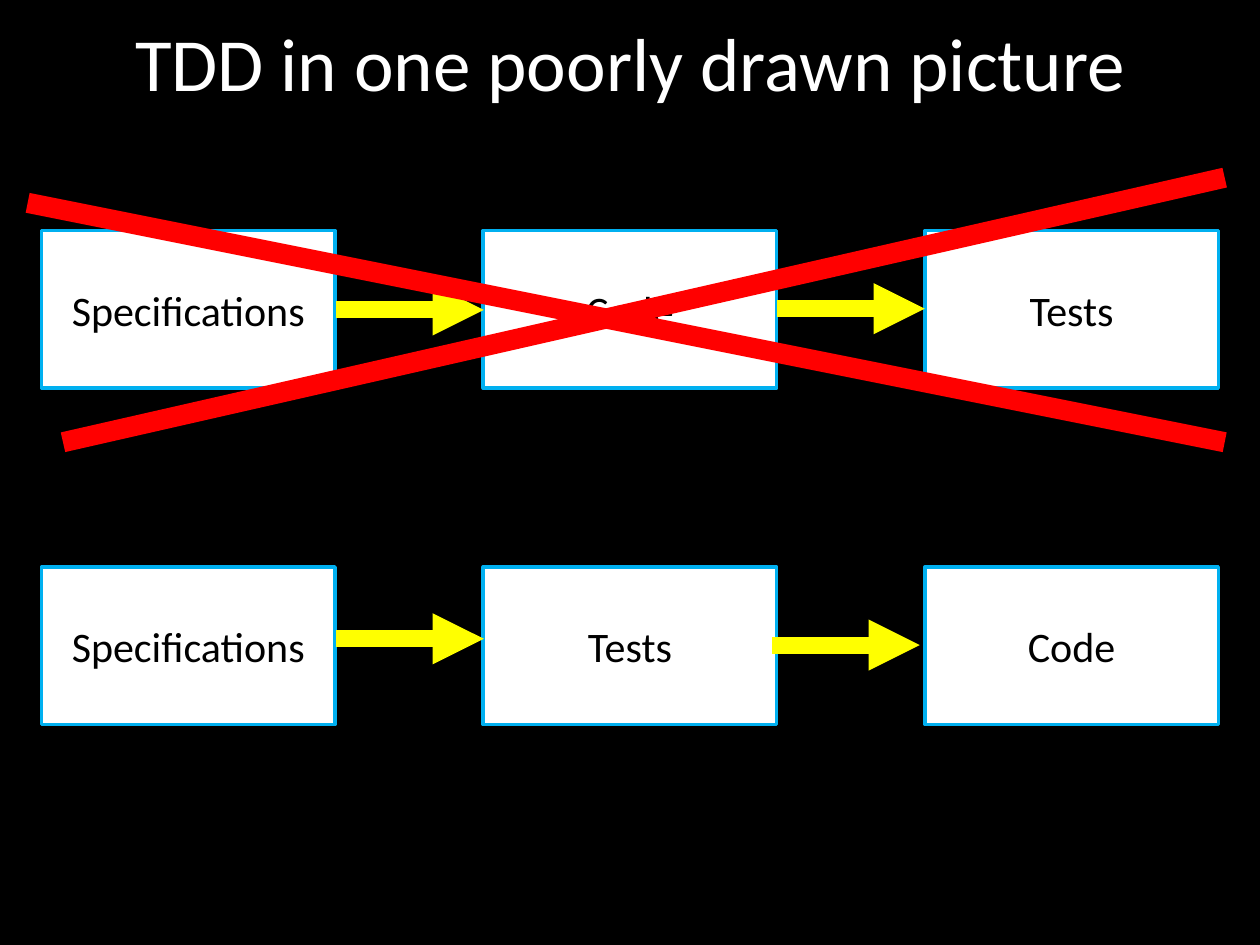
import pptx
import pptx.util
import pptx.dml.color
import pptx.enum.shapes
import pptx.enum.text
import pptx.oxml.ns
import lxml.etree

BLACK = pptx.dml.color.RGBColor(0x00, 0x00, 0x00)
WHITE = pptx.dml.color.RGBColor(0xFF, 0xFF, 0xFF)
BLUE = pptx.dml.color.RGBColor(0x00, 0xB0, 0xF0)
YELLOW = pptx.dml.color.RGBColor(0xFF, 0xFF, 0x00)
RED = pptx.dml.color.RGBColor(0xFF, 0x00, 0x00)
Inches = pptx.util.Inches

# Grid: three columns of boxes in two rows
BOX_WIDTH, BOX_HEIGHT = 2.33, 1.25
COLUMNS = [0.33 + 3.505 * column for column in range(3)]
ROWS = [1.83, 4.5]


def format_text(shape, text, size, color):
    shape.text_frame.text = text
    para = shape.text_frame.paragraphs[0]
    para.alignment = pptx.enum.text.PP_ALIGN.CENTER
    font = para.runs[0].font
    font.name = "Calibri"
    font.size = pptx.util.Pt(size)
    font.color.rgb = color


def add_line(start, end, color, width, arrow=False):
    line = page.shapes.add_connector(
        pptx.enum.shapes.MSO_CONNECTOR.STRAIGHT,
        *[Inches(value) for value in (*start, *end)])
    line.line.color.rgb = color
    line.line.width = pptx.util.Pt(width)
    if arrow:
        lxml.etree.SubElement(line.line._get_or_add_ln(),
                              pptx.oxml.ns.qn("a:tailEnd"), type="triangle")
    lxml.etree.SubElement(line._element.spPr, pptx.oxml.ns.qn("a:effectLst"))


deck = pptx.Presentation()
deck.slide_width, deck.slide_height = Inches(10), Inches(7.5)
page = deck.slides.add_slide(deck.slide_layouts[5])
page.background.fill.solid()
page.background.fill.fore_color.rgb = BLACK

# Title
title = page.shapes.title
title.left, title.top = Inches(0.5), Inches(0.08)
title.width, title.height = Inches(9), Inches(1.25)
format_text(title, "TDD in one poorly drawn picture", 42.9, WHITE)
title.text_frame.vertical_anchor = pptx.enum.text.MSO_ANCHOR.TOP

# Steps: the old order above, the test-first order below
orders = [["Specifications", "Code", "Tests"],
          ["Specifications", "Tests", "Code"]]
for top, steps in zip(ROWS, orders):
    for left, step in zip(COLUMNS, steps):
        box = page.shapes.add_shape(
            pptx.enum.shapes.MSO_SHAPE.RECTANGLE, Inches(left), Inches(top),
            Inches(BOX_WIDTH), Inches(BOX_HEIGHT))
        box.shadow.inherit = False
        box.fill.solid()
        box.fill.fore_color.rgb = WHITE
        box.line.color.rgb = BLUE
        box.line.width = pptx.util.Pt(2)
        box.text_frame.vertical_anchor = pptx.enum.text.MSO_ANCHOR.MIDDLE
        format_text(box, step, 24, BLACK)

# Arrows between the steps
for left, middle in [(2.67, 2.46), (6.17, 2.45), (2.67, 5.07), (6.13, 5.12)]:
    add_line((left, middle), (left + 1.17, middle), YELLOW, 9.75, arrow=True)

# Cross over the old order
add_line((0.22, 1.61), (9.72, 3.51), RED, 11.5)
add_line((0.5, 3.51), (9.72, 1.41), RED, 11.5)

deck.save("out.pptx")
